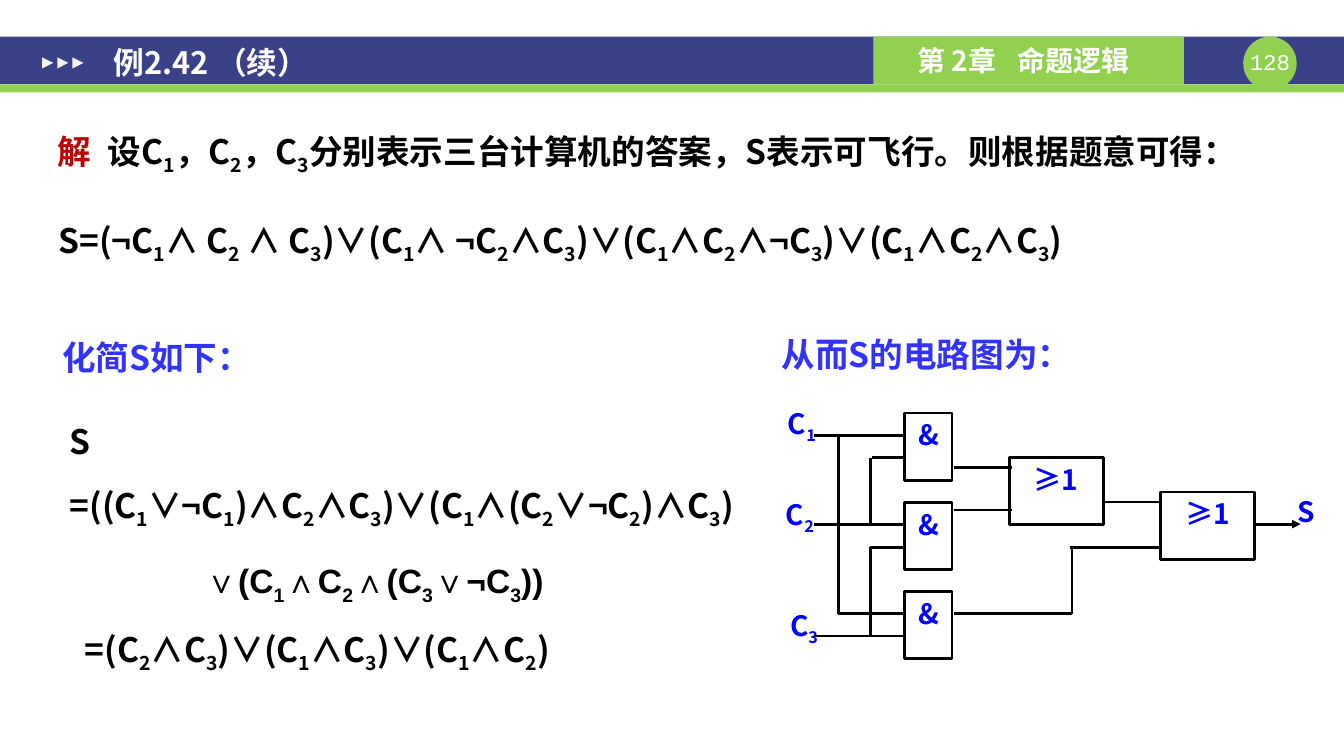
from dataclasses import dataclass
from typing import Any, NamedTuple, Optional

from lxml.etree import SubElement
from pptx import Presentation
from pptx.dml.color import RGBColor
from pptx.enum.shapes import MSO_CONNECTOR, MSO_SHAPE
from pptx.enum.text import MSO_ANCHOR, MSO_AUTO_SIZE, PP_ALIGN
from pptx.oxml.ns import qn
from pptx.util import Pt


@dataclass(frozen=True)
class Theme:
    font: str = "Noto Sans CJK SC"
    formula_font: str = "Arial"
    number_font: str = "Courier New"
    body_size: float = 24
    title_size: float = 22
    label_size: float = 20
    number_size: float = 16
    wire_width: float = 2
    navy: str = "3A4187"
    green: str = "92D050"
    pale: str = "F2F2F2"
    white: str = "FFFFFF"
    black: str = "000000"
    red: str = "C00000"
    heading: str = "3333FF"
    label: str = "0000FF"


THEME = Theme()


class Frame(NamedTuple):
    left: float
    top: float
    width: float
    height: float


class Wire(NamedTuple):
    x1: float
    y1: float
    x2: float
    y2: float
    arrow: bool = False


@dataclass(frozen=True)
class Line:
    """A paragraph; in its text _ puts the next character in subscript."""
    text: str
    lead: str = ""
    size: float = THEME.body_size
    color: str = THEME.black
    font: str = THEME.font
    bold: bool = True
    align: PP_ALIGN = PP_ALIGN.LEFT
    spacing: float = 1.0
    before: float = 0
    margin: float = 0
    tab: float = 0


@dataclass(frozen=True)
class Block:
    frame: Frame
    fill: Optional[str] = None
    outline: Optional[str] = None
    text: str = ""
    kind: MSO_SHAPE = MSO_SHAPE.RECTANGLE
    rotation: float = 0


def apply(target: Any, values: dict[str, Any]) -> None:
    for name, value in values.items():
        setattr(target, name, value)


def place(box: Any, frame: Frame) -> None:
    apply(box, {name: Pt(value) for name, value in frame._asdict().items()})


def add_span(para: Any, text: str, line: Line, color: str, lowered: bool = False) -> None:
    span = para.add_run()
    span.text = text
    apply(span.font, {"name": line.font, "size": Pt(line.size), "bold": line.bold})
    span.font.color.rgb = RGBColor.from_string(color)
    properties = span._r.get_or_add_rPr()
    SubElement(properties, qn("a:ea"), typeface=line.font)
    if lowered:
        properties.set("baseline", "-25000")


def write(box: Any, lines: list[Line], inset: tuple[float, float] = (7.2, 3.6),
          anchor: MSO_ANCHOR = MSO_ANCHOR.TOP) -> None:
    frame = box.text_frame
    across, down = (Pt(value) for value in inset)
    apply(frame, {"word_wrap": True, "auto_size": MSO_AUTO_SIZE.NONE,
                  "vertical_anchor": anchor, "margin_left": across,
                  "margin_right": across, "margin_top": down, "margin_bottom": down})
    for index, line in enumerate(lines):
        para = frame.add_paragraph() if index else frame.paragraphs[0]
        properties = para._p.get_or_add_pPr()
        apply_margin = {"marL": str(Pt(line.margin)), "indent": "0"}
        for name, value in apply_margin.items():
            properties.set(name, value)
        SubElement(properties, qn("a:buNone"))
        if line.tab:
            tabs = SubElement(properties, qn("a:tabLst"))
            SubElement(tabs, qn("a:tab"), pos=str(Pt(line.tab)), algn="l")
        apply(para, {"alignment": line.align, "line_spacing": line.spacing,
                     "space_before": Pt(line.before), "space_after": Pt(0)})
        if line.lead:
            add_span(para, line.lead, line, THEME.red)
        first, *others = line.text.split("_")
        add_span(para, first, line, line.color)
        for part in others:
            add_span(para, part[0], line, line.color, lowered=True)
            if part[1:]:
                add_span(para, part[1:], line, line.color)


def add_text(page: Any, frame: Frame, line: Line, inset: tuple[float, float] = (7.2, 3.6)) -> None:
    write(page.shapes.add_textbox(*map(Pt, frame)), [line], inset)


def add_block(page: Any, block: Block) -> Any:
    box = page.shapes.add_shape(block.kind, *map(Pt, block.frame))
    box.shadow.inherit = False
    box.rotation = block.rotation
    if block.fill:
        box.fill.solid()
        box.fill.fore_color.rgb = RGBColor.from_string(block.fill)
    else:
        box.fill.background()
    if block.outline:
        box.line.width = Pt(THEME.wire_width)
        box.line.color.rgb = RGBColor.from_string(block.outline)
    else:
        box.line.fill.background()
    if block.text:
        write(box, [Line(block.text, size=THEME.label_size, color=THEME.label,
                         align=PP_ALIGN.CENTER)])
    return box


def add_wire(page: Any, wire: Wire) -> None:
    link = page.shapes.add_connector(MSO_CONNECTOR.STRAIGHT, *map(Pt, wire[:4]))
    link.line.width = Pt(THEME.wire_width)
    link.line.color.rgb = RGBColor.from_string(THEME.black)
    if wire.arrow:
        SubElement(link.line._get_or_add_ln(), qn("a:tailEnd"), type="triangle")
    SubElement(link._element.spPr, qn("a:effectLst"))


def add_header(page: Any, width: float) -> None:
    add_block(page, Block(Frame(0, 26.2, width, 34), THEME.navy))
    add_block(page, Block(Frame(0, 60.2, width, 5.8), THEME.green))
    badge = Frame(888.5, 26.2, 38.2, 38.2)
    add_block(page, Block(badge, THEME.green, kind=MSO_SHAPE.OVAL))
    add_text(page, Frame(badge.left, 34.6, badge.width, 19.4),
             Line("128", size=THEME.number_size, color=THEME.white, bold=False,
                  font=THEME.number_font, align=PP_ALIGN.CENTER), (0, 0))
    chapter = add_block(page, Block(Frame(624.2, 26.2, 221.8, 34), THEME.green))
    write(chapter, [Line("第 2章\t命题逻辑", size=THEME.label_size, color=THEME.white, tab=80)],
          (31.2, 3.6), MSO_ANCHOR.MIDDLE)
    for index in range(3):
        add_block(page, Block(Frame(30.2 + 10.8 * index, 41, 7.9, 7.9), THEME.pale,
                              kind=MSO_SHAPE.ISOSCELES_TRIANGLE, rotation=90))


def add_circuit(page: Any) -> None:
    labels = [
        Block(Frame(547.9, 286.6, 50.4, 48), THEME.white, text="C_1"),
        Block(Frame(546.5, 352.1, 50.4, 48), THEME.white, text="C_2"),
        Block(Frame(549.4, 431.3, 50.4, 48), text="C_3"),
        Block(Frame(916.6, 349.9, 33.8, 48), THEME.white, text="S"),
    ]
    inputs = [
        Wire(581.8, 311, 648, 311), Wire(623.5, 326.9, 674, 326.9),
        Wire(581.8, 374.4, 648, 374.4), Wire(622.1, 391, 672.5, 391),
        Wire(599, 438.5, 666, 438.5), Wire(581.8, 454.3, 648, 454.3),
    ]
    gates = [Block(Frame(646.6, 295 + 63.8 * row, 33.8, 48), THEME.white, THEME.black, "&")
             for row in range(3)]
    gates += [Block(Frame(left, top, 67, 48), THEME.white, THEME.black, "≥1")
              for left, top in ((721.4, 326.9), (829.4, 351.4))]
    outputs = [
        Wire(681.8, 438.5, 766.1, 438.5), Wire(766.1, 391, 766.1, 438.5),
        Wire(764.6, 391, 830.2, 391), Wire(681.8, 334.1, 722.9, 334.1),
        Wire(681.8, 364.3, 722.9, 364.3), Wire(789.1, 358.6, 830.2, 358.6),
        Wire(896.4, 374.4, 929.5, 374.4, arrow=True), Wire(622.1, 326.9, 622.1, 374.4),
        Wire(622.1, 391, 622.1, 454.3), Wire(599, 311, 599, 438.5),
    ]
    for item in [*labels, *inputs, *gates, *outputs]:
        if isinstance(item, Wire):
            add_wire(page, item)
        else:
            add_block(page, item)


def main() -> None:
    deck = Presentation()
    apply(deck, {"slide_width": Pt(960.5), "slide_height": Pt(540)})
    page = deck.slides.add_slide(deck.slide_layouts[3])
    title, solution, derivation = page.placeholders
    add_header(page, 960.5)

    wide = (9.4, 5)
    place(solution, Frame(31.7, 72, 918.7, 122.4))
    write(solution, [Line("设C_1，C_2，C_3分别表示三台计算机的答案，S表示可飞行。则根据题意可得：",
                          lead="解\t", spacing=1.5, tab=35.3)], wide)
    add_text(page, Frame(34.6, 146.9, 891.4, 38.9), Line(
        "S=(¬C_1∧ C_2 ∧ C_3)∨(C_1∧ ¬C_2∧C_3)∨(C_1∧C_2∧¬C_3)∨(C_1∧C_2∧C_3)", spacing=1.2))
    add_text(page, Frame(37.4, 236.9, 480, 36), Line("化简S如下：", color=THEME.heading))
    add_text(page, Frame(551.5, 234.7, 246, 36), Line("从而S的电路图为：", color=THEME.heading))
    place(derivation, Frame(40.3, 281.5, 495, 236))
    write(derivation, [
        Line("S =((C_1∨¬C_1)∧C_2∧C_3)∨(C_1∧(C_2∨¬C_2)∧C_3)", spacing=1.5),
        Line("∨(C_1∧C_2∧(C_3∨¬C_3))", font=THEME.formula_font, spacing=1.5,
             before=4.8, margin=96.5),
        Line("=(C_2∧C_3)∨(C_1∧C_3)∨(C_1∧C_2)", spacing=1.5, margin=10.8),
    ], wide)
    add_circuit(page)

    place(title, Frame(72, 7.9, 635, 72.7))
    write(title, [Line("例2.42 （续）", size=THEME.title_size, color=THEME.white)],
          wide, MSO_ANCHOR.MIDDLE)
    page.shapes._spTree.append(title._element)
    deck.save("out.pptx")


if __name__ == "__main__":
    main()
